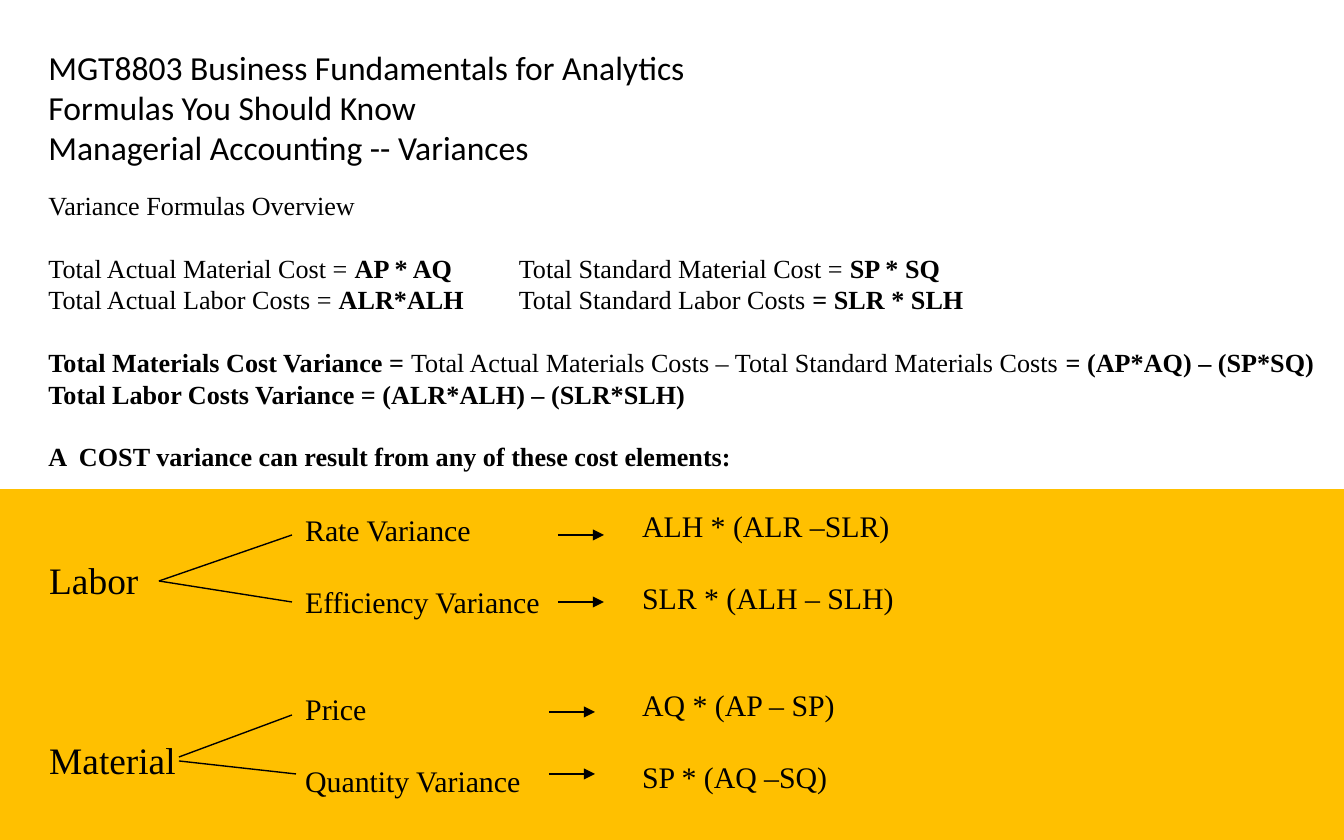
import pptx
import pptx.util
import pptx.dml.color
import pptx.enum.shapes
import pptx.enum.text
import pptx.oxml.ns
import lxml.etree

PX = 914400 / 134.4  # EMU in one px
THEME = {
    "ink": "000000", "band": "FFC000", "line": 0.75, "leading": 1.2,
    "heading": {"name": "Calibri", "size": 18},
    "body": {"name": "Times New Roman", "size": 14},
    "label": {"name": "Times New Roman", "size": 20},
    "detail": {"name": "Times New Roman", "size": 16},
}

# Content: a paragraph is (blank lines before, tab stop in px, [(text, bold)])
PAGE = (1344, 840)
BAND = (0, 489, 1344, 351)
TITLE = ("MGT8803 Business Fundamentals for Analytics\v"
         "Formulas You Should Know\vManagerial Accounting -- Variances")
TITLE_AT = (35, 40, 829, 134)
FORMULAS_AT = (35, 183, 1304, 300)
FORMULAS = [
    (0, None, [("Variance Formulas Overview", False)]),
    (1, 806, [("Total Actual Material Cost = ", False), ("AP * AQ\t", True),
              ("Total Standard Material Cost = ", False), ("SP * SQ", True)]),
    (0, 672, [("Total Actual Labor Costs = ", False), ("ALR*ALH\t", True),
              ("Total Standard Labor Costs ", False), ("= SLR * SLH", True)]),
    (1, None, [("Total Materials Cost Variance = ", True),
               ("Total Actual Materials Costs – Total Standard Materials Costs ", False),
               ("= (AP*AQ) – (SP*SQ)", True)]),
    (0, None, [("Total Labor Costs Variance = (ALR*ALH) – (SLR*SLH)", True)]),
    (1, None, [("A  COST variance can result from any of these cost elements:", True)]),
]
# Columns of the tree: place, style, blank lines before each entry, entries
COLUMNS = [
    ((36, 551, 163, 238), "label", (0, 3), ("Labor", "Material")),
    ((292, 505, 266, 301), "detail", (0, 1, 2, 1),
     ("Rate Variance", "Efficiency Variance", "Price", "Quantity Variance")),
    ((629, 501, 278, 326), "detail", (0, 1, 2, 1),
     ("ALH * (ALR –SLR)", "SLR * (ALH – SLH)", "AQ * (AP – SP)", "SP * (AQ –SQ)")),
]
BRANCHES = [(159, 581, 292, 535), (159, 581, 292, 602),
            (179, 757, 292, 715), (179, 761, 296, 774)]
ARROW_STARTS = [(558, 535), (558, 602), (549, 712), (549, 774)]
ARROW_LENGTH = 46


def px(*values):
    return [pptx.util.Emu(round(value * PX)) for value in values]


def color(key):
    return pptx.dml.color.RGBColor.from_string(THEME[key])


def add_child(parent, tag, **attributes):
    return lxml.etree.SubElement(parent, pptx.oxml.ns.qn(tag), attributes)


def place(box, spot):
    for name, value in zip(("left", "top", "width", "height"), px(*spot)):
        setattr(box, name, value)


def write(box, style, paragraphs):
    """Fill a box with paragraphs in one type style."""
    look = THEME[style]
    leading = look["size"] * THEME["leading"]
    frame = box.text_frame
    frame.word_wrap = True
    frame.auto_size = pptx.enum.text.MSO_AUTO_SIZE.NONE
    frame.vertical_anchor = pptx.enum.text.MSO_ANCHOR.TOP
    for index, (blanks, tab, spans) in enumerate(paragraphs):
        para = frame.paragraphs[0] if index == 0 else frame.add_paragraph()
        properties = para._p.get_or_add_pPr()
        properties.set("marL", "0")
        properties.set("indent", "0")
        add_child(properties, "a:buNone")
        if tab:
            stops = add_child(properties, "a:tabLst")
            add_child(stops, "a:tab", pos=str(px(tab)[0]), algn="l")
        layout = {"alignment": pptx.enum.text.PP_ALIGN.LEFT,
                  "line_spacing": pptx.util.Pt(leading),
                  "space_before": pptx.util.Pt(blanks * leading),
                  "space_after": pptx.util.Pt(0)}
        for name, value in layout.items():
            setattr(para, name, value)
        for text, bold in spans:
            for row, line in enumerate(text.split("\v")):
                if row:
                    para.add_line_break()
                span = para.add_run()
                span.text = line
                font = {"name": look["name"], "size": pptx.util.Pt(look["size"]),
                        "bold": bold}
                for name, value in font.items():
                    setattr(span.font, name, value)
                span.font.color.rgb = color("ink")


def add_line(page, ends, arrow=False):
    line = page.shapes.add_connector(
        pptx.enum.shapes.MSO_CONNECTOR.STRAIGHT, *px(*ends))
    line.line.color.rgb = color("ink")
    line.line.width = pptx.util.Pt(THEME["line"])
    if arrow:
        add_child(line.line._get_or_add_ln(), "a:tailEnd", type="triangle")
    add_child(line._element.spPr, "a:effectLst")


def main():
    deck = pptx.Presentation()
    deck.slide_width, deck.slide_height = px(*PAGE)
    page = deck.slides.add_slide(deck.slide_layouts[1])

    # Heading and formulas
    title, formulas = page.shapes.title, page.placeholders[1]
    place(title, TITLE_AT)
    write(title, "heading", [(0, None, [(TITLE, False)])])
    place(formulas, FORMULAS_AT)
    write(formulas, "body", FORMULAS)

    # Coloured band
    band = page.shapes.add_shape(
        pptx.enum.shapes.MSO_SHAPE.RECTANGLE, *px(*BAND))
    band.shadow.inherit = False
    band.fill.solid()
    band.fill.fore_color.rgb = color("band")
    band.line.fill.background()

    # Variance tree
    for spot, style, gaps, entries in COLUMNS:
        box = page.shapes.add_textbox(*px(*spot))
        write(box, style, [(gap, None, [(entry, False)])
                           for gap, entry in zip(gaps, entries)])
    for ends in BRANCHES:
        add_line(page, ends)
    for x, y in ARROW_STARTS:
        add_line(page, (x, y, x + ARROW_LENGTH, y), arrow=True)

    deck.save("out.pptx")


if __name__ == "__main__":
    main()
